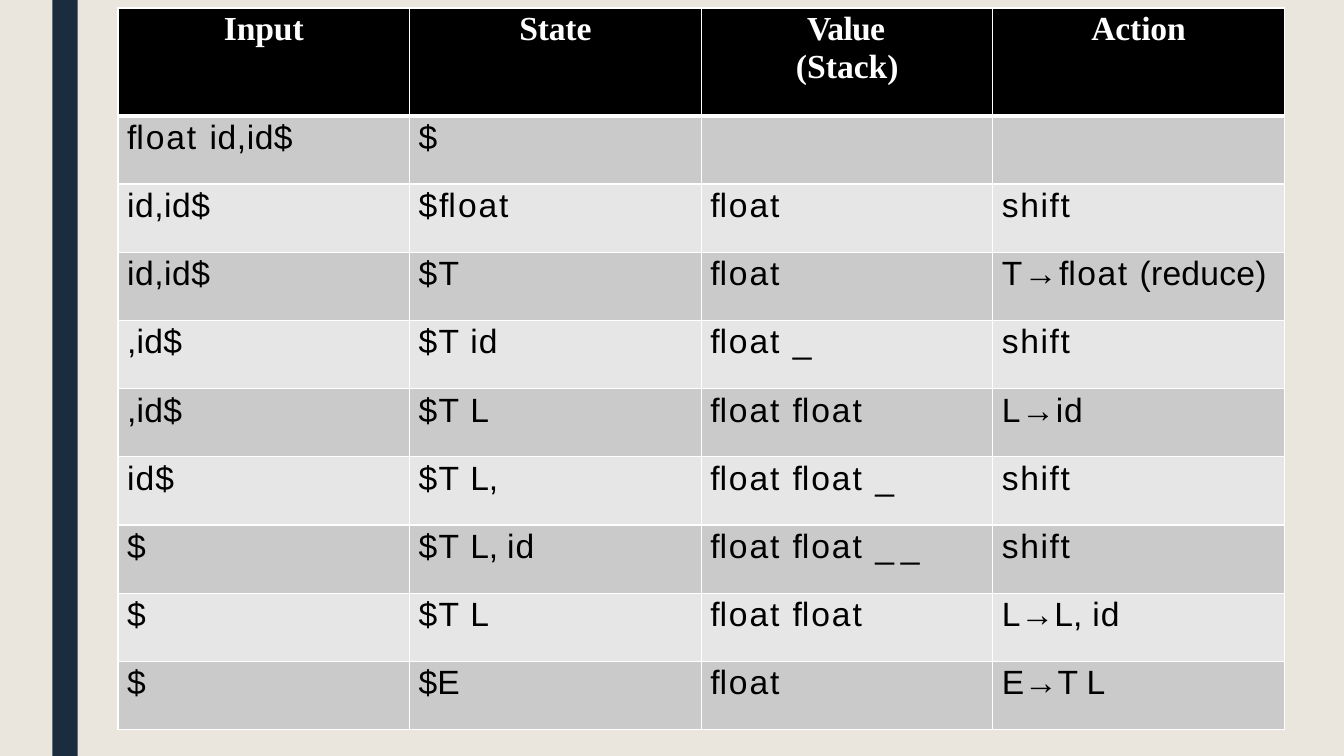
from lxml import etree
from pptx import Presentation
from pptx import util as u
from pptx.dml.color import RGBColor
from pptx.enum import shapes, text
from pptx.oxml.ns import qn

theme = {
    "page": "EBE6DD", "bar": "1A2D3F", "rule": "FFFFFF",
    "head": "000000", "bands": ("CACACA", "E6E6E6"),
    "head_ink": "FFFFFF", "ink": "000000",
    "head_font": "Times New Roman", "font": "Arial", "size": 24,
}

# Cell text; "|" parts pieces with different letter spacing
rows = [
    ["Input", "State", "Value |(Stack)", "Action"],
    ["ﬂoat |id,id$", "$", "", ""],
    ["id,id$", "$ﬂoat", "ﬂoat", "shift"],
    ["id,id$", "$T", "ﬂoat", "T→ﬂoat |(reduce)"],
    [",id$", "$T |id", "ﬂoat |_", "shift"],
    [",id$", "$T |L", "ﬂoat ﬂoat", "L→id"],
    ["id$", "$T |L,", "ﬂoat ﬂoat |_", "shift"],
    ["$", "$T |L, |id", "ﬂoat ﬂoat |_ _", "shift"],
    ["$", "$T |L", "ﬂoat ﬂoat", "L→L, |id"],
    ["$", "$E", "ﬂoat", "E→T |L"],
]

# Letter spacing of each piece, in points
track = {
    "Input": -0.1, "State": -0.1, "Value": -0.5, "Action": -0.1,
    "ﬂoat": 1.4, "$ﬂoat": 1.4, "ﬂoat ﬂoat": 1.4, "shift": 1.2,
    "id,id$": 0.4, ",id$": 0.2, "id$": 0.8, "id": 0.7,
    "$T": 0.9, "$E": 0.1, "L": 1.1, "L,": -0.2, "_": -0.9, "_ _": -0.9,
    "T→ﬂoat": 1.1, "(reduce)": 0.2, "L→id": 0.6, "L→L,": 0.1, "E→T": -0.1,
}


def paint(fill, tone):
    fill.solid()
    fill.fore_color.rgb = RGBColor.from_string(tone)


def edge(cell, side, width):
    line = etree.SubElement(cell._tc.get_or_add_tcPr(), qn("a:ln" + side),
                            w=str(u.Pt(width)))
    fill = etree.SubElement(line, qn("a:solidFill"))
    etree.SubElement(fill, qn("a:srgbClr"), val=theme["rule"])


# Slide and page colour
deck = Presentation()
deck.slide_width, deck.slide_height = u.Inches(13.33), u.Inches(7.5)
slide = deck.slides.add_slide(deck.slide_layouts[6])
paint(slide.background.fill, theme["page"])

# Side bar
bar = slide.shapes.add_shape(shapes.MSO_SHAPE.RECTANGLE, u.Inches(0.52), 0,
                             u.Inches(0.25), deck.slide_height)
bar.shadow.inherit = False
bar.line.fill.background()
paint(bar.fill, theme["bar"])

# Table grid: four equal columns, a tall head and nine equal rows
left, top, wide, high, tall = map(u.Inches, (1.17, 0.08, 11.57, 7.16, 1.07))
table = slide.shapes.add_table(len(rows), len(rows[0]),
                               left, top, wide, high).table
for col in table.columns:
    col.width = wide // len(rows[0])
for i, row in enumerate(table.rows):
    row.height = (high - tall) // (len(rows) - 1) if i else tall

# Cells
for i, row in enumerate(rows):
    for j, words in enumerate(row):
        cell = table.cell(i, j)
        cell.margin_left = cell.margin_right = cell.margin_bottom = 0
        cell.margin_top = u.Inches(0.03)
        for side in "LRTB":
            thick = (i, side) in ((0, "B"), (1, "T"))
            edge(cell, side, 3 if thick else 1)
        paint(cell.fill, theme["bands"][(i - 1) % 2] if i else theme["head"])
        if not words:
            continue

        # Paragraph
        para = cell.text_frame.paragraphs[0]
        para.space_before = u.Pt(2)
        font = para.font
        font.size = u.Pt(theme["size"])
        font.bold = i == 0
        font.name = theme["font" if i else "head_font"]
        font.color.rgb = RGBColor.from_string(theme["ink" if i else "head_ink"])
        form = para._p.get_or_add_pPr()
        if i:
            form.set("marL", str(u.Inches(0.09)))
        elif "|" in words:  # two-line heading, set by indents
            for key, size in (("marL", 0.94), ("indent", 0.11), ("marR", 0.85)):
                form.set(key, str(u.Inches(size)))
        else:
            para.alignment = text.PP_ALIGN.CENTER

        # Pieces
        for piece in words.split("|"):
            run = para.add_run()
            run.text = piece
            gap = track.get(piece.strip(), 0)
            run._r.get_or_add_rPr().set("spc", str(round(gap * 100)))

deck.save("out.pptx")
